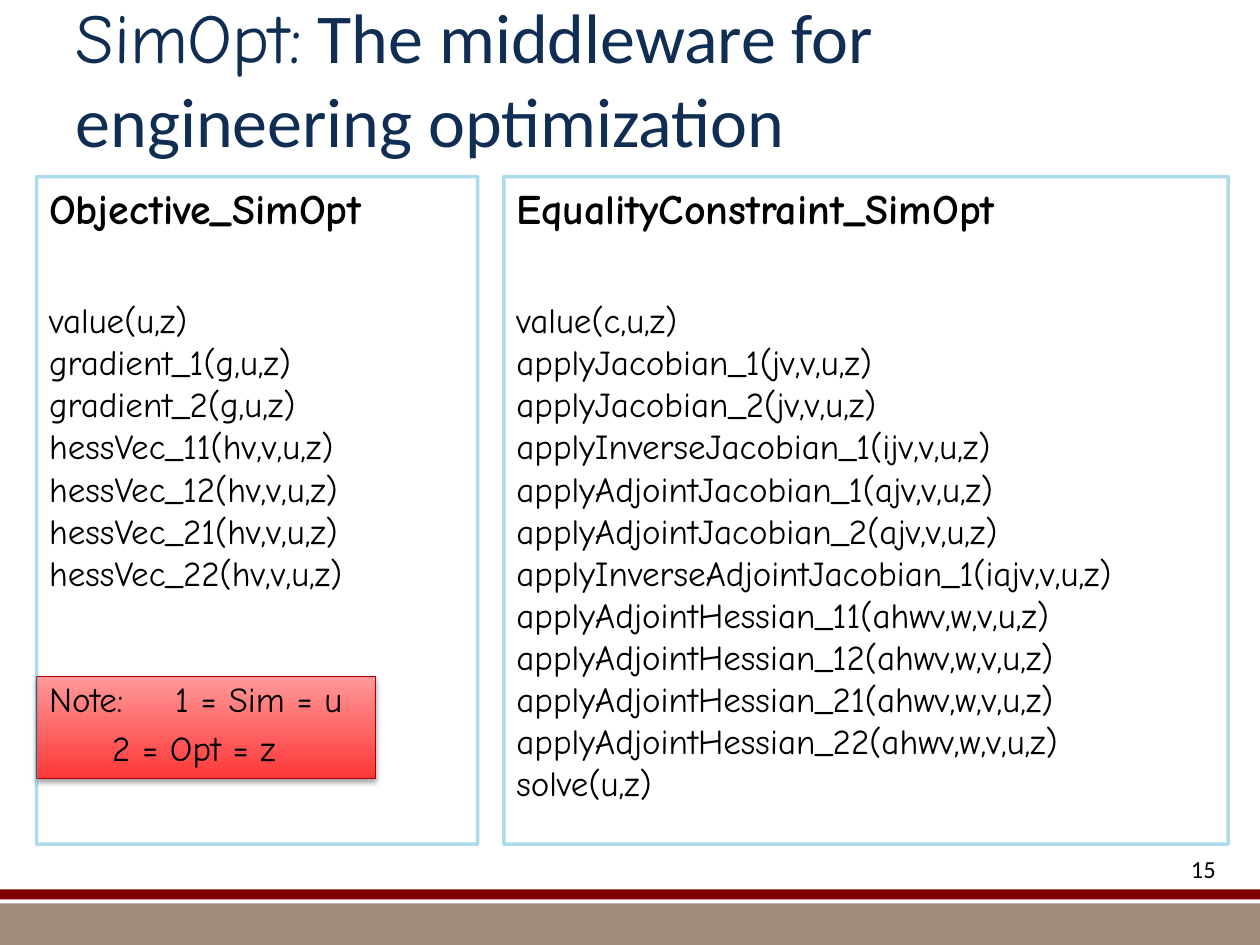
from lxml.etree import SubElement
from pptx import Presentation
from pptx.dml.color import RGBColor
from pptx.enum.shapes import MSO_SHAPE
from pptx.enum.text import MSO_ANCHOR, MSO_AUTO_SIZE, PP_ALIGN
from pptx.oxml.ns import qn
from pptx.util import Cm, Pt

HAND, SANS = "Comic Neue", "Calibri"
NAVY, BLACK, PANEL_BLUE = "102E54", "000000", "30A6CD"
NOTE_BOTTOM, NOTE_TOP, NOTE_EDGE = "FE3737", "FF9999", "AA0000"

TITLE = ("SimOpt:", " The middleware for", "engineering optimization")
PAGE = "15"
STRIPES = [(18.21, 0.84, "9E8C78"), (17.93, 0.2, "800000")]
PANEL_TOP, PANEL_HEIGHT = 3.56, 13.46
NOTE_PLACE = (0.74, 13.64, 6.83, 2.06)
NOTE_LINES = [("Note:\t1 = Sim = u", 48), ("\t2 = Opt = z", 4)]
PANELS = [
    (0.74, 8.89, "Objective_SimOpt",
     ["value(u,z)", "gradient_1(g,u,z)", "gradient_2(g,u,z)"]
     + [f"hessVec_{pair}(hv,v,u,z)" for pair in (11, 12, 21, 22)],
     NOTE_LINES),
    (10.16, 14.6, "EqualityConstraint_SimOpt",
     ["value(c,u,z)", "applyJacobian_1(jv,v,u,z)", "applyJacobian_2(jv,v,u,z)",
      "applyInverseJacobian_1(ijv,v,u,z)", "applyAdjointJacobian_1(ajv,v,u,z)",
      "applyAdjointJacobian_2(ajv,v,u,z)", "applyInverseAdjointJacobian_1(iajv,v,u,z)"]
     + [f"applyAdjointHessian_{pair}(ahwv,w,v,u,z)" for pair in (11, 12, 21, 22)]
     + ["solve(u,z)"],
     []),
]


def color(hex_code):
    return RGBColor.from_string(hex_code)


def write(paragraph, text, *, size=20, font=HAND, ink=BLACK, bold=False,
          before=0, align=PP_ALIGN.LEFT):
    paragraph.alignment = align
    paragraph.space_before = Pt(before)
    run = paragraph.add_run()
    run.text = text
    run.font.size, run.font.name, run.font.bold = Pt(size), font, bold
    run.font.color.rgb = color(ink)


def add_bar(slide, place):
    bar = slide.shapes.add_shape(MSO_SHAPE.RECTANGLE, *map(Cm, place))
    bar.shadow.inherit = False
    return bar


def add_stripe(slide, top, height, fill):
    stripe = add_bar(slide, (0, top, 25.4, height))
    stripe.fill.solid()
    stripe.fill.fore_color.rgb = color(fill)
    stripe.line.fill.background()


def add_note(slide):
    note = add_bar(slide, NOTE_PLACE)
    note.fill.gradient()
    note.fill.gradient_angle = 90
    for stop, shade, position in zip(note.fill.gradient_stops, (NOTE_BOTTOM, NOTE_TOP), (0, 1)):
        stop.color.rgb = color(shade)
        stop.position = position
    note.line.color.rgb = color(NOTE_EDGE)
    note.line.width = Pt(0.75)
    effects = note._element.spPr.find(qn("a:effectLst"))
    shadow = SubElement(effects, qn("a:outerShdw"), blurRad=str(Pt(3.1)),
                        dist=str(Pt(1.8)), dir="5400000", rotWithShape="0")
    shade = SubElement(shadow, qn("a:srgbClr"), val=BLACK)
    SubElement(shade, qn("a:alpha"), val="35000")


def add_panel(slide, left, width, heading, methods, notes):
    panel = slide.shapes.add_textbox(Cm(left), Cm(PANEL_TOP), Cm(width), Cm(PANEL_HEIGHT))
    panel.line.color.rgb = color(PANEL_BLUE)
    panel.line.width = Pt(2)
    edge = panel._element.spPr.find(f".//{qn('a:srgbClr')}")
    SubElement(edge, qn("a:alpha"), val="40000")
    frame = panel.text_frame
    frame.word_wrap = True
    write(frame.paragraphs[0], heading, size=24, bold=True, before=4.8)
    gaps = [37.6] + [0] * (len(methods) - 1)
    for text, gap in [*zip(methods, gaps), *notes]:
        write(frame.add_paragraph(), text, before=gap)


def add_title(slide):
    title = slide.shapes.title
    title.left, title.top, title.width, title.height = map(Cm, (1.27, 0.2, 22.86, 2.74))
    frame = title.text_frame
    frame.auto_size = MSO_AUTO_SIZE.NONE
    frame.vertical_anchor = MSO_ANCHOR.MIDDLE
    name, first_line, second_line = TITLE
    heading = frame.paragraphs[0]
    write(heading, name, size=40, ink=NAVY)
    write(heading, first_line, size=40, font=SANS, ink=NAVY)
    heading.add_line_break()
    write(heading, second_line, size=40, font=SANS, ink=NAVY)


def main():
    """Build the SimOpt interface slide."""
    deck = Presentation()
    deck.slide_width, deck.slide_height = Cm(25.4), Cm(19.05)
    slide = deck.slides.add_slide(deck.slide_layouts[5])
    for stripe in STRIPES:
        add_stripe(slide, *stripe)
    add_note(slide)
    add_title(slide)
    for panel in PANELS:
        add_panel(slide, *panel)
    page = slide.shapes.add_textbox(Cm(23.06), Cm(17.09), Cm(1.7), Cm(1.04)).text_frame
    page.word_wrap = True
    write(page.paragraphs[0], PAGE, size=14, font=SANS, align=PP_ALIGN.RIGHT)
    deck.save("out.pptx")


if __name__ == "__main__":
    main()
